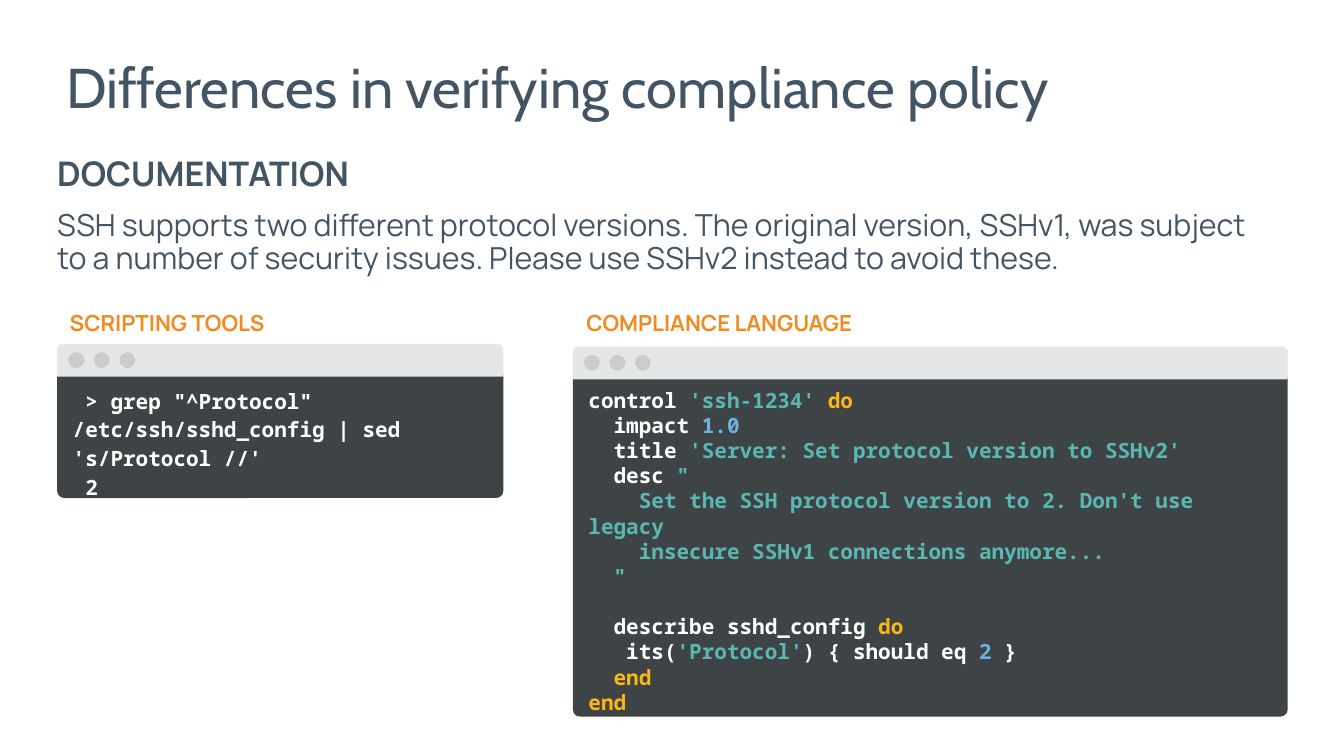
"""Build a slide that compares two ways of verifying a compliance policy."""
from pptx import Presentation
from pptx.dml.color import RGBColor
from pptx.enum.shapes import MSO_SHAPE
from pptx.enum.text import MSO_ANCHOR, PP_ALIGN
from pptx.util import Cm, Pt

COLORS = {
    "slate": "435464", "orange": "F18B21", "panel": "3E4346",
    "bar": "E4E6E7", "dot": "CCCCCC", "plain": "FFFFFF",
    "string": "5AB7B2", "keyword": "FDB714", "number": "6BB2E2",
}
CHAR_WIDTH = 10.8
LINE_HEIGHT = 21.5

SHELL_LINES = [
    (1, 0, [("> grep \"^Protocol\" /etc/ssh/sshd_config | sed 's/Protocol //'", "plain")]),
    (1, 0, [("2", "plain")]),
]
CONTROL_LINES = [
    (0, 0, [("control ", "plain"), ("'ssh-1234' ", "string"), ("do", "keyword")]),
    (2, 0, [("impact ", "plain"), ("1.0", "number")]),
    (2, 0, [("title ", "plain"), ("'Server: Set protocol version to SSHv2'", "string")]),
    (2, 0, [("desc ", "plain"), ('"', "string")]),
    (4, 0, [("Set the SSH protocol version to 2. Don't use legacy", "string")]),
    (4, 0, [("insecure SSHv1 connections anymore...", "string")]),
    (2, 0, [('"', "string")]),
    (2, 1, [("describe sshd_config ", "plain"), ("do", "keyword")]),
    (3, 0, [("its(", "plain"), ("'Protocol'", "string"), (") { should eq ", "plain"),
            ("2", "number"), (" }", "plain")]),
    (2, 0, [("end", "keyword")]),
    (0, 0, [("end", "keyword")]),
]


def style_run(r, font, size, color, bold):
    """Set the font of a run."""
    r.font.name = font
    r.font.size = Pt(size)
    r.font.bold = bold
    r.font.color.rgb = RGBColor.from_string(COLORS[color])


def set_frame(tf, inset, anchor=MSO_ANCHOR.TOP):
    """Make a text frame wrap, with equal insets."""
    tf.word_wrap = True
    tf.vertical_anchor = anchor
    tf.margin_left = tf.margin_top = tf.margin_right = tf.margin_bottom = Cm(inset)


def add_text(s, box, inset, paragraphs, font, color, anchor=MSO_ANCHOR.TOP):
    """Add a text box of (text, size, bold, space before) paragraphs."""
    tf = s.shapes.add_textbox(*map(Cm, box)).text_frame
    set_frame(tf, inset, anchor)
    for i, (text, size, bold, before) in enumerate(paragraphs):
        p = tf.add_paragraph() if i else tf.paragraphs[0]
        p.text = text
        p.line_spacing = 0.9
        p.space_before = Pt(before)
        style_run(p.runs[0], font, size, color, bold)
    return tf


def add_box(s, kind, box, color, adjustments=()):
    """Add a filled shape without line or shadow."""
    sp = s.shapes.add_shape(kind, *map(Cm, box))
    sp.shadow.inherit = False
    sp.fill.solid()
    sp.fill.fore_color.rgb = RGBColor.from_string(COLORS[color])
    sp.line.fill.background()
    for i, value in enumerate(adjustments):
        sp.adjustments[i] = value
    return sp


def add_code(tf, lines, line_spacing):
    """Write coloured code lines of (indent, blank lines before, runs)."""
    set_frame(tf, 0.41)
    for i, (indent, gap, runs) in enumerate(lines):
        p = tf.add_paragraph() if i else tf.paragraphs[0]
        p.alignment = PP_ALIGN.LEFT
        p.line_spacing = line_spacing
        p.space_before = Pt(gap * LINE_HEIGHT)
        pPr = p._p.get_or_add_pPr()
        pPr.set("marL", "0")
        pPr.set("indent", str(int(Pt(indent * CHAR_WIDTH))))
        for text, color in runs:
            r = p.add_run()
            r.text = text
            style_run(r, "Noto Sans Mono", 18, color, True)


def add_window(s, box, corner, lines, line_spacing):
    """Add a code window with a title bar and three buttons."""
    left, top, width, _ = box
    bar_top = top - 0.75
    panel = add_box(s, MSO_SHAPE.ROUNDED_RECTANGLE, box, "panel", [corner])
    add_code(panel.text_frame, lines, line_spacing)
    add_box(s, MSO_SHAPE.ROUND_2_SAME_RECTANGLE, (left, bar_top, width, 0.99),
            "bar", [0.167, 0])
    for i in range(3):
        add_box(s, MSO_SHAPE.OVAL, (left + 0.34 + i * 0.77, bar_top + 0.25, 0.48, 0.48), "dot")


def main():
    """Build and save the slide."""
    prs = Presentation()
    prs.slide_width, prs.slide_height = Cm(40.64), Cm(22.86)
    s = prs.slides.add_slide(prs.slide_layouts[6])

    add_text(s, (1.7, 1.52, 37.26, 1.7), 0.3,
             [("Differences in verifying compliance policy", 48, False, 0)], "Cabin", "slate")
    tf = add_text(s, (1.73, 4.45, 37.24, 4.34), 0.3, [
        ("DOCUMENTATION", 29, True, 0),
        ("SSH supports two different protocol versions. The original version, SSHv1, "
         "was subject to a number of security issues. Please use SSHv2 instead to "
         "avoid these.", 26, False, 14.4),
    ], "Manrope", "slate")
    tf.margin_left = 0

    add_window(s, (1.73, 11.15, 13.49, 3.91), 0.053, SHELL_LINES, 1.15)
    add_window(s, (17.32, 11.23, 21.62, 10.44), 0.021, CONTROL_LINES, 1.0)
    for left, label in ((1.7, "SCRIPTING TOOLS"), (17.32, "COMPLIANCE LANGUAGE")):
        add_text(s, (left, 9.3, 13.34, 0.99), 0.41, [(label, 19, True, 0)],
                 "Manrope", "orange", MSO_ANCHOR.MIDDLE)

    prs.save("out.pptx")


if __name__ == "__main__":
    main()
